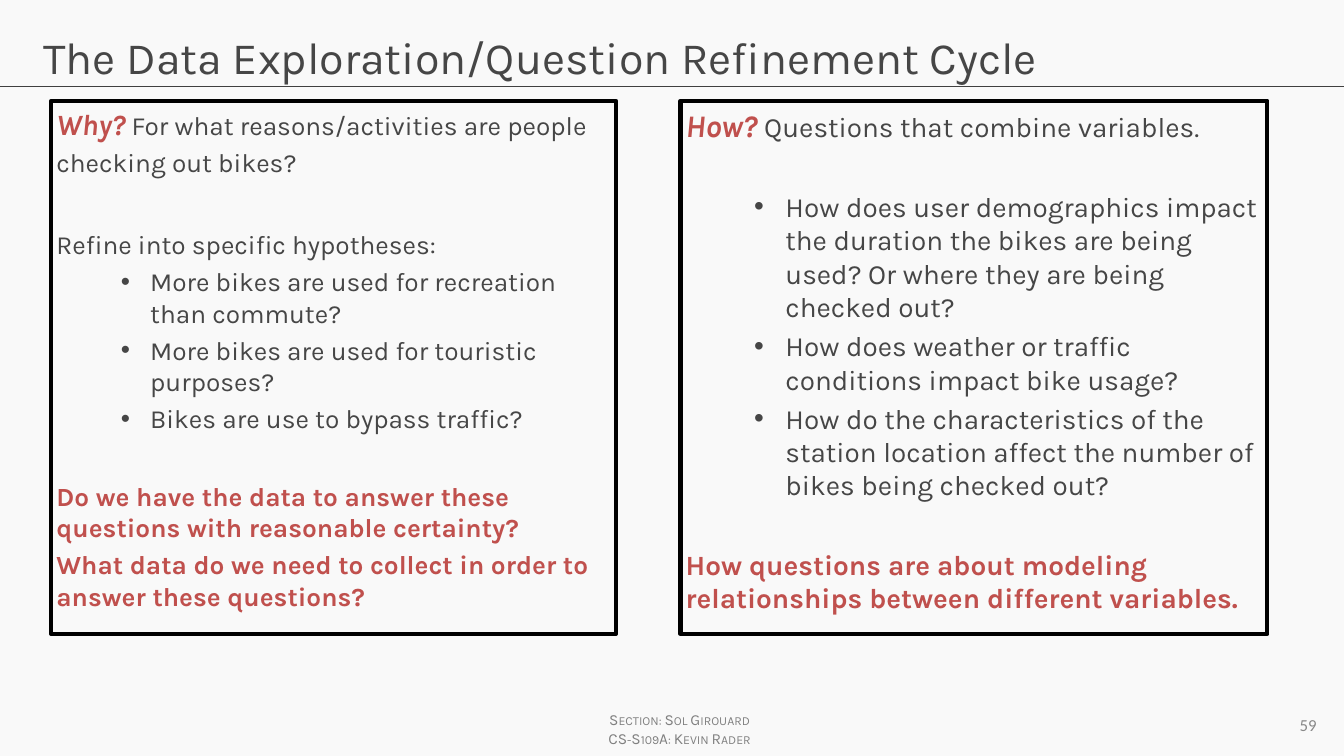
from dataclasses import dataclass

from lxml.etree import SubElement
from pptx import Presentation
from pptx.dml.color import RGBColor
from pptx.enum.shapes import MSO_CONNECTOR, MSO_SHAPE
from pptx.enum.text import MSO_ANCHOR, PP_ALIGN
from pptx.oxml.ns import qn
from pptx.util import Inches, Pt


@dataclass(frozen=True)
class Theme:
    """Hold the fonts, colours and type sizes of the slide."""
    font: str = "Karla"
    number_font: str = "Calibri"
    background: str = "F9F9F9"
    text: str = "464646"
    accent: str = "C0504D"
    rule: str = "404040"
    border: str = "000000"
    footer: str = "808080"
    number: str = "888888"
    title_size: float = 32
    why_size: float = 18.7
    how_size: float = 19.9
    lead_scale: float = 1.125
    footer_size: float = 11
    number_size: float = 12


THEME = Theme()
TIGHT, WIDE = 4, 33

WHY = [
    ("lead", 0, "Why?", " For what reasons/activities are people"),
    ("plain", TIGHT, "checking out bikes?"),
    ("plain", 36, "Refine into specific hypotheses:"),
    ("bullet", TIGHT, "More bikes are used for recreation than commute?"),
    ("bullet", TIGHT, "More bikes are used for touristic purposes?"),
    ("bullet", TIGHT, "Bikes are use to bypass traffic?"),
    ("strong", WIDE, "Do we have the data to answer these questions with reasonable certainty?"),
    ("strong", TIGHT, "What data do we need to collect in order to answer these questions?"),
]
HOW = [
    ("lead", 0, "How?", " Questions that combine variables."),
    ("bullet", WIDE, "How does user demographics impact the duration the bikes are being used? "
                     "Or where they are being checked out?"),
    ("bullet", TIGHT, "How does weather or traffic conditions impact bike usage?"),
    ("bullet", TIGHT, "How do the characteristics of the station location affect the number of "
                      "bikes being checked out?"),
    ("strong", WIDE, "How questions are about modeling relationships between different variables."),
]


def set_format(target, values):
    """Set each named attribute of the target."""
    for name, value in values.items():
        setattr(target, name, value)


def add_run(paragraph, text, size, color, name=THEME.font, **extra):
    """Add a formatted run to a paragraph."""
    run = paragraph.add_run()
    run.text = text
    set_format(run.font, {"size": Pt(size), "name": name, **extra})
    run.font.color.rgb = RGBColor.from_string(color)
    return run


def set_frame(frame, anchor=MSO_ANCHOR.TOP, wrap=True):
    """Give a text frame its margins, anchor and wrapping."""
    margins = {f"margin_{side}": Inches(0.05) for side in ("left", "top", "right", "bottom")}
    set_format(frame, {**margins, "vertical_anchor": anchor, "word_wrap": wrap})


def add_bullet(paragraph, indent, hanging):
    """Indent a paragraph and give it a round bullet."""
    properties = paragraph._p.get_or_add_pPr()
    properties.set("marL", str(Inches(indent)))
    properties.set("indent", str(-Inches(hanging)))
    SubElement(properties, qn("a:buFont")).set("typeface", "Arial")
    SubElement(properties, qn("a:buChar")).set("char", "•")


def add_title(slide, text):
    """Place and format the title placeholder."""
    title = slide.shapes.title
    set_format(title, {"left": Inches(0.38), "top": Inches(0.24),
                       "width": Inches(12.57), "height": Inches(0.84)})
    set_frame(title.text_frame)
    paragraph = title.text_frame.paragraphs[0]
    paragraph.alignment = PP_ALIGN.LEFT
    add_run(paragraph, text, THEME.title_size, THEME.text)


def add_rule(slide):
    """Draw the line under the title."""
    rule = slide.shapes.add_connector(
        MSO_CONNECTOR.STRAIGHT, 0, Inches(0.86), Inches(13.33), Inches(0.86))
    rule.line.width = Pt(0.75)
    rule.line.color.rgb = RGBColor.from_string(THEME.rule)
    SubElement(rule._element.spPr, qn("a:effectLst"))


def add_panel(slide, left, width, size, indent, hanging, content):
    """Draw a bordered panel and fill it with paragraphs."""
    panel = slide.shapes.add_shape(
        MSO_SHAPE.RECTANGLE, Inches(left), Inches(1), Inches(width), Inches(5.29))
    panel.shadow.inherit = False
    panel.fill.background()
    panel.line.width = Pt(3)
    panel.line.color.rgb = RGBColor.from_string(THEME.border)
    frame = panel.text_frame
    set_frame(frame)
    for index, (kind, space, *texts) in enumerate(content):
        paragraph = frame.add_paragraph() if index else frame.paragraphs[0]
        set_format(paragraph, {"alignment": PP_ALIGN.LEFT, "space_before": Pt(space)})
        if kind == "bullet":
            add_bullet(paragraph, indent, hanging)
        if kind == "lead":
            add_run(paragraph, texts[0], round(size * THEME.lead_scale, 1), THEME.accent,
                    bold=True, italic=True)
        strong = kind == "strong"
        add_run(paragraph, texts[-1], size, THEME.accent if strong else THEME.text, bold=strong)


def add_label(slide, box, lines, alignment, anchor, size, color, name, small_caps=False):
    """Add a small text box at the foot of the slide."""
    label = slide.shapes.add_textbox(*map(Inches, box))
    frame = label.text_frame
    set_frame(frame, anchor, False)
    for index, line in enumerate(lines):
        paragraph = frame.add_paragraph() if index else frame.paragraphs[0]
        paragraph.alignment = alignment
        run = add_run(paragraph, line, size, color, name)
        if small_caps:
            run._r.get_or_add_rPr().set("cap", "small")


def main():
    """Build the slide and save it."""
    presentation = Presentation()
    set_format(presentation, {"slide_width": Inches(13.33), "slide_height": Inches(7.5)})
    slide = presentation.slides.add_slide(presentation.slide_layouts[5])
    slide.background.fill.solid()
    slide.background.fill.fore_color.rgb = RGBColor.from_string(THEME.background)
    add_rule(slide)
    add_title(slide, "The Data Exploration/Question Refinement Cycle")
    add_panel(slide, 0.51, 5.6, THEME.why_size, 0.93, 0.29, WHY)
    add_panel(slide, 6.75, 5.82, THEME.how_size, 0.99, 0.31, HOW)
    add_label(slide, (5.84, 7, 1.8, 0.46), ["Section: Sol Girouard", "CS-S109A: Kevin Rader"],
              PP_ALIGN.CENTER, MSO_ANCHOR.TOP, THEME.footer_size, THEME.footer, THEME.font, True)
    add_label(slide, (12.83, 7.06, 0.28, 0.27), ["59"], PP_ALIGN.RIGHT, MSO_ANCHOR.MIDDLE,
              THEME.number_size, THEME.number, THEME.number_font)
    presentation.save("out.pptx")


if __name__ == "__main__":
    main()
